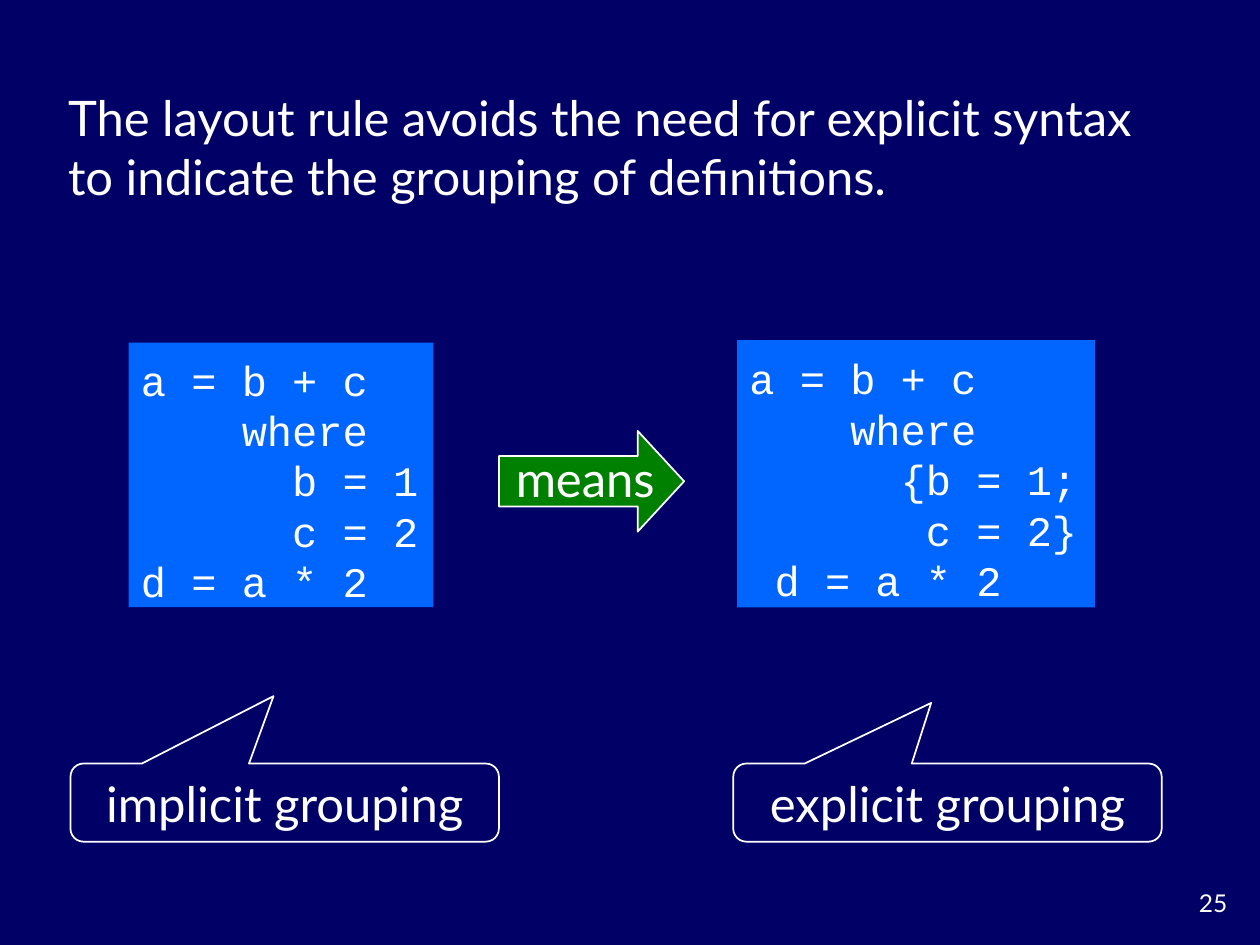
from pptx import Presentation
from pptx.dml.color import RGBColor
from pptx.enum.shapes import MSO_SHAPE
from pptx.enum.text import MSO_ANCHOR, MSO_AUTO_SIZE, PP_ALIGN
from pptx.util import Inches, Pt

NAVY, BLUE, GREEN, WHITE = "000066", "0066FF", "008000", "FFFFFF"
SANS, MONO = "Lato", "Courier New"

TITLE = ("The layout rule avoids the need for explicit syntax "
         "to indicate the grouping of definitions.")
CODE_BOXES = [
    ((1.02, 2.72, 2.42, 2.1),
     ["a = b + c", "    where", "      b = 1", "      c = 2", "d = a * 2"]),
    ((5.85, 2.7, 2.84, 2.12),
     ["a = b + c", "    where", "      {b = 1;", "       c = 2}", " d = a * 2"]),
]
CALLOUTS = [
    ("implicit grouping", 0.56, (-0.026, -1.363)),
    ("explicit grouping", 5.82, (-0.038, -1.276)),
]


def color(value):
    return RGBColor.from_string(value)


def inches(box):
    return [Inches(v) for v in box]


def write(shape, lines, size=28, font=SANS, align=PP_ALIGN.LEFT, wrap=True):
    tf = shape.text_frame
    tf.word_wrap = wrap
    tf.auto_size = MSO_AUTO_SIZE.NONE
    tf.vertical_anchor = MSO_ANCHOR.MIDDLE
    for i, line in enumerate(lines):
        p = tf.add_paragraph() if i else tf.paragraphs[0]
        p.alignment = align
        r = p.add_run()
        r.text = line
        r.font.size = Pt(size)
        r.font.name = font
        r.font.color.rgb = color(WHITE)
    return tf


def add_shape(s, kind, box, fill=None, line=None):
    sp = s.shapes.add_shape(kind, *inches(box))
    sp.shadow.inherit = False
    if fill:
        sp.fill.solid()
        sp.fill.fore_color.rgb = color(fill)
    else:
        sp.fill.background()
    if line:
        sp.line.color.rgb = color(line)
        sp.line.width = Pt(1)
    else:
        sp.line.fill.background()
    return sp


def add_text(s, box, text, **style):
    return write(s.shapes.add_textbox(*inches(box)), [text], **style)


def main():
    prs = Presentation()
    prs.slide_width, prs.slide_height = Inches(10), Inches(7.5)
    s = prs.slides.add_slide(prs.slide_layouts[5])
    s.background.fill.solid()
    s.background.fill.fore_color.rgb = color(NAVY)

    title = s.shapes.title
    title.left, title.top, title.width, title.height = inches((0.44, 0.65, 8.9, 1.03))
    write(title, [TITLE])

    for box, lines in CODE_BOXES:
        sp = add_shape(s, MSO_SHAPE.RECTANGLE, box, fill=BLUE)
        tf = write(sp, lines, size=24, font=MONO, wrap=False)
        tf.margin_top, tf.margin_bottom = Inches(0.09), Inches(0.01)
        for p in tf.paragraphs:
            p.line_spacing = Pt(28.8)

    arrow = add_shape(s, MSO_SHAPE.RIGHT_ARROW, (3.96, 3.42, 1.47, 0.8), GREEN, WHITE)
    arrow.adjustments[1] = 0.461
    add_text(s, (3.98, 3.51, 1.33, 0.57), "means", align=PP_ALIGN.CENTER, wrap=False)

    for text, left, tip in CALLOUTS:
        sp = add_shape(s, MSO_SHAPE.ROUNDED_RECTANGULAR_CALLOUT,
                       (left, 6.06, 3.4, 0.62), line=WHITE)
        sp.adjustments[0], sp.adjustments[1] = tip
        write(sp, [text], align=PP_ALIGN.CENTER)

    add_text(s, (9.17, 7, 0.67, 0.33), "25", size=14, align=PP_ALIGN.RIGHT)
    prs.save("out.pptx")


if __name__ == "__main__":
    main()
